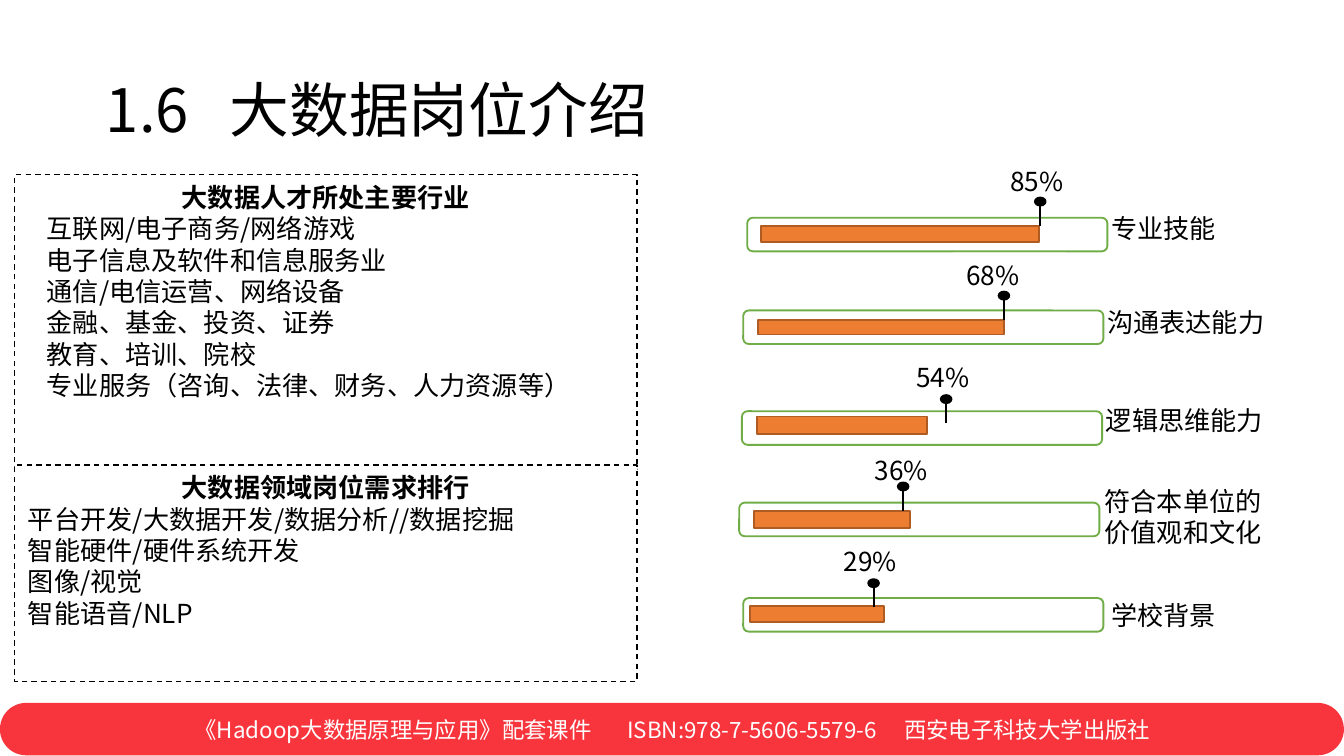
from pptx import Presentation
from pptx.dml.color import RGBColor
from pptx.enum.dml import MSO_LINE
from pptx.enum.shapes import MSO_CONNECTOR, MSO_SHAPE
from pptx.enum.text import MSO_ANCHOR, PP_ALIGN
from pptx.oxml.ns import qn
from pptx.util import Emu, Pt
from lxml.etree import SubElement

PX = 9144  # 100 px to the inch
WIDE, TALL = 1000, 562.5  # 16:9
FACE = "Noto Sans CJK SC"
BLACK, WHITE, RED = "000000", "FFFFFF", "F8353D"
GREEN, ORANGE, BROWN = "70AD47", "ED7D31", "AF5C24"
LEFT, MID, JUST = PP_ALIGN.LEFT, PP_ALIGN.CENTER, PP_ALIGN.JUSTIFY

# Content
TITLE = "1.6\t大数据岗位介绍"
FOOTER = "《Hadoop大数据原理与应用》配套课件\tISBN:978-7-5606-5579-6\t西安电子科技大学出版社"

# top, height, first-line indent, alignment, heading, lines
PANELS = [
    (130, 219, 14, JUST, "大数据人才所处主要行业", [
        "互联网/电子商务/网络游戏",
        "电子信息及软件和信息服务业",
        "通信/电信运营、网络设备",
        "金融、基金、投资、证券",
        "教育、培训、院校",
        "专业服务（咨询、法律、财务、人力资源等）"]),
    (346, 161, 0, LEFT, "大数据领域岗位需求排行", [
        "平台开发/大数据开发/数据分析//数据挖掘",
        "智能硬件/硬件系统开发",
        "图像/视觉",
        "智能语音/NLP"]),
]

# lines, label box, track (x, y), bar box, pin (x, y), percent, its box (x, y, w)
SKILLS = [
    (["专业技能"], (817, 153, 149, 35), (556, 162),
     (566, 168, 207, 12), (774, 153), 85, (742, 118, 110)),
    (["沟通表达能力"], (814, 223, 155, 35), (553, 231),
     (564, 238, 183, 11), (747, 223), 68, (709, 188, 84)),
    (["逻辑思维能力"], (813, 296, 150, 35), (552, 306),
     (563, 310, 127, 13), (704, 300), 54, (672, 264, 87)),
    (["符合本单位的", "价值观和文化"], (812, 356, 182, 67), (550, 374),
     (561, 380, 116, 13), (672, 365), 36, (641, 333, 83)),
    (["学校背景"], (817, 441, 131, 35), (553, 445),
     (558, 451, 100, 12), (650, 437), 29, (618, 401, 90)),
]


def tint(code):
    return RGBColor.from_string(code)


def px(*nums):
    return [Emu(int(n * PX)) for n in nums]


def form(kind, box, fill, edge=None, wide=1):
    part = slide.shapes.add_shape(kind, *px(*box))
    part.shadow.inherit = False
    part.fill.solid()
    part.fill.fore_color.rgb = tint(fill)
    if edge:
        part.line.color.rgb = tint(edge)
        part.line.width = Pt(wide)
    else:
        part.line.fill.background()
    return part


def write(part, lines, align=JUST, size=14, color=BLACK, anchor=MSO_ANCHOR.TOP):
    frame = part.text_frame
    frame.word_wrap = True
    frame.vertical_anchor = anchor
    for i, line in enumerate(lines):
        para = frame.paragraphs[0] if i == 0 else frame.add_paragraph()
        para.alignment = align
        run = para.add_run()
        run.text = line
        for key, val in {"size": Pt(size), "name": FACE, "bold": False}.items():
            setattr(run.font, key, val)
        run.font.color.rgb = tint(color)
        SubElement(run.font._element, qn("a:ea"), typeface=FACE)
    return frame


def tabs(para, *stops):
    group = SubElement(para._p.get_or_add_pPr(), qn("a:tabLst"))
    for stop in stops:
        SubElement(group, qn("a:tab"), pos=str(stop * PX), algn="l")


deck = Presentation()
deck.slide_width, deck.slide_height = px(WIDE, TALL)
slide = deck.slides.add_slide(deck.slide_layouts[6])

# Footer band
band = form(MSO_SHAPE.ROUNDED_RECTANGLE, (0, 523, WIDE, 39), RED)
band.adjustments[0] = 0.5
frame = write(band, [FOOTER], LEFT, 12, WHITE, MSO_ANCHOR.MIDDLE)
frame.margin_left = px(139)[0]
tabs(frame.paragraphs[0], 322, 528)

# Title
head = slide.shapes.add_textbox(*px(69, 30, 862, 109))
frame = write(head, [TITLE], LEFT, 32, anchor=MSO_ANCHOR.MIDDLE)
frame.paragraphs[0].line_spacing = 0.9
tabs(frame.paragraphs[0], 92)

# Dashed panels
for top, tall, dent, align, name, lines in PANELS:
    panel = form(MSO_SHAPE.RECTANGLE, (11, top, 463, tall), WHITE, BLACK, 0.75)
    panel.line.dash_style = MSO_LINE.DASH
    first, *rest = write(panel, [name] + lines, align).paragraphs
    first.alignment = MID
    first.runs[0].font.bold = True
    for para in rest:
        para._p.get_or_add_pPr().set("indent", str(dent * PX))

# Skill bars with pins
for lines, label, track, bar, (x, y), rate, (left, top, wide) in SKILLS:
    write(form(MSO_SHAPE.RECTANGLE, label, WHITE), lines)
    form(MSO_SHAPE.ROUNDED_RECTANGLE, (*track, 268, 25), WHITE, GREEN)
    form(MSO_SHAPE.RECTANGLE, bar, ORANGE, BROWN)
    write(form(MSO_SHAPE.RECTANGLE, (left, top, wide, 35), WHITE), [f"{rate}%"])
    pin = slide.shapes.add_connector(MSO_CONNECTOR.STRAIGHT, *px(x, y + 15, x, y))
    pin.line.color.rgb = tint(BLACK)
    pin.line.width = Pt(1)
    SubElement(pin._element.spPr, qn("a:effectLst"))
    form(MSO_SHAPE.OVAL, (x - 4, y - 6, 8, 6), BLACK, BLACK)

deck.save("out.pptx")
